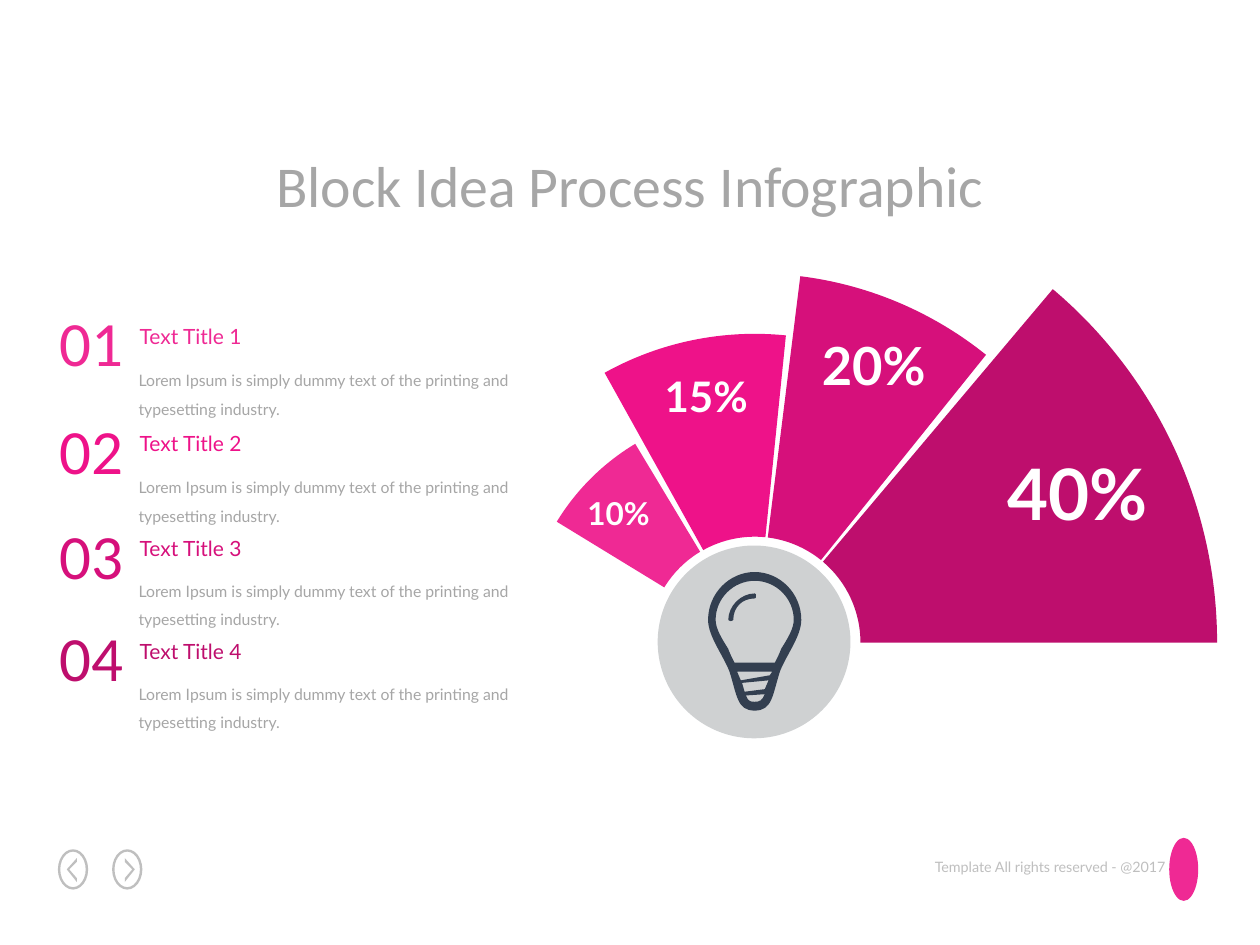
import math
from dataclasses import dataclass

import pptx
import pptx.dml.color
import pptx.enum.shapes
import pptx.enum.text
import pptx.oxml.ns
import pptx.util

Inches = pptx.util.Inches
RGB = pptx.dml.color.RGBColor.from_string
ALIGN = pptx.enum.text.PP_ALIGN
SHAPES = pptx.enum.shapes.MSO_SHAPE
qn = pptx.oxml.ns.qn


@dataclass(frozen=True)
class Theme:
    pinks: tuple = ("EF2994", "EE1289", "D6107B", "BE0E6D")
    grey: str = "A6A6A6"
    pale: str = "BFBFBF"
    hub: str = "CFD1D2"
    bulb: str = "333F50"
    white: str = "FFFFFF"
    head_font: str = "Calibri"
    body_font: str = "Lato"
    title: float = 33
    number: float = 36
    item: float = 12
    body: float = 9
    footer: float = 8.2
    shares: tuple = (18, 24, 30, 40.5)


theme = Theme()
deck = pptx.Presentation()
deck.slide_width, deck.slide_height = Inches(10), Inches(7.5)
slide = deck.slides.add_slide(deck.slide_layouts[5])


def write(box, words, size, color, font=theme.body_font, align=ALIGN.LEFT, bold=False, wrap=False):
    frame = box.text_frame
    frame.word_wrap = wrap
    frame.auto_size = pptx.enum.text.MSO_AUTO_SIZE.SHAPE_TO_FIT_TEXT
    paragraph = frame.paragraphs[0]
    paragraph.alignment = align
    run = paragraph.add_run()
    run.text = words
    run.font.name, run.font.size, run.font.bold = font, pptx.util.Pt(size), bold
    run.font.color.rgb = RGB(color)
    return frame


def outline(contours, color):
    """Fill closed contours, in inches; six numbers are a cubic curve, two a corner."""
    builder = None
    for start, *steps in contours:
        origin = Inches(start[0]), Inches(start[1])
        if builder is None:
            builder = slide.shapes.build_freeform(*origin, scale=1.0)
        else:
            builder.move_to(*origin)
        points = [(Inches(step[i]), Inches(step[i + 1])) for step in steps for i in range(0, len(step), 2)]
        builder.add_line_segments(points, close=False)
        builder.add_line_segments([origin], close=True)
    shape = builder.convert_to_shape()

    # The builder draws only lines: gather each curve's three points into one segment
    lines = iter(list(shape._element.iter(qn("a:lnTo"))))
    for _, *steps in contours:
        for step in steps:
            segment = next(lines)
            if len(step) == 6:
                segment_curve = segment.makeelement(qn("a:cubicBezTo"))
                segment.addprevious(segment_curve)
                for line in (segment, next(lines), next(lines)):
                    segment_curve.append(line[0])
                    line.getparent().remove(line)
        closing = next(lines)
        closing.getparent().remove(closing)

    shape.shadow.inherit = False
    shape.fill.solid()
    shape.fill.fore_color.rgb = RGB(color)
    shape.line.fill.background()


# Footer, navigation rings, emblem and hub
footer = slide.shapes.add_textbox(Inches(7.25), Inches(6.76), Inches(2.1), Inches(0.24))
write(footer, "Template All rights reserved - @2017", theme.footer, theme.pale, align=ALIGN.RIGHT)

ovals = [
    (SHAPES.DONUT, 0.46, 6.74, 0.24, 0.32, theme.pale),
    (SHAPES.DONUT, 0.89, 6.74, 0.24, 0.32, theme.pale),
    (SHAPES.OVAL, 9.28, 6.65, 0.23, 0.5, theme.pinks[0]),
    (SHAPES.OVAL, 5.22, 4.33, 1.53, 1.53, theme.hub),
]
for kind, left, top, width, height, color in ovals:
    oval = slide.shapes.add_shape(kind, Inches(left), Inches(top), Inches(width), Inches(height))
    oval.shadow.inherit = False
    oval.fill.solid()
    oval.fill.fore_color.rgb = RGB(color)
    oval.line.fill.background()
    if kind == SHAPES.DONUT:
        oval.adjustments[0] = 0.08

for tip, direction in ((0.53, 1), (1.07, -1)):
    back, notch = tip + 0.08 * direction, tip + 0.02 * direction
    outline([[(back, 6.84), (notch, 6.9), (back, 6.97), (back, 7), (tip, 6.9), (back, 6.81)]], theme.pale)

# Title
title = slide.shapes.title
title.left, title.top, title.width, title.height = Inches(1.8), Inches(1.13), Inches(6.4), Inches(0.66)
write(title, "Block Idea Process Infographic", theme.title, theme.grey, theme.head_font, ALIGN.CENTER)

# Fan of wedges around the hub: outer radius, start and end angle, label and its place
center_x, center_y, inner_radius = 5.99, 5.1, 0.84
wedges = [
    (1.84, 148.6, 121, "10%", 4.56, 3.87, 0.7, 0.4),
    (2.45, 119.1, 84.2, "15%", 5.17, 2.89, 0.87, 0.5),
    (2.93, 82.9, 51.2, "20%", 6.42, 2.59, 1.03, 0.61),
    (3.67, 49.85, 0, "40%", 7.89, 3.52, 1.33, 0.78),
]
for (outer_radius, start, end, *_), color in zip(wedges, theme.pinks):
    arcs = []
    for radius, first, last in ((outer_radius, start, end), (inner_radius, end, start)):
        a, b = math.radians(first), math.radians(last)
        pull = 4 / 3 * math.tan((b - a) / 4)
        arcs.append([
            (center_x + radius * (math.cos(angle) - tug * math.sin(angle)),
             center_y - radius * (math.sin(angle) + tug * math.cos(angle)))
            for angle, tug in ((a, 0), (a, pull), (b, -pull), (b, 0))
        ])
    rim, hollow = arcs
    outline([[rim[0], sum(rim[1:], ()), hollow[0], sum(hollow[1:], ())]], color)

for (*_, share, left, top, width, height), size in zip(wedges, theme.shares):
    label = slide.shapes.add_textbox(Inches(left), Inches(top), Inches(width), Inches(height))
    write(label, share, size, theme.white, align=ALIGN.CENTER, bold=True)

# Numbered list
item_rows = [(2.36, 2.52, 2.82), (3.22, 3.37, 3.67), (4.05, 4.2, 4.49), (4.86, 5.02, 5.31)]
for index, ((number_top, heading_top, body_top), color) in enumerate(zip(item_rows, theme.pinks), 1):
    body = slide.shapes.add_textbox(Inches(1.1), Inches(body_top), Inches(3), Inches(0.56))
    frame = write(body, "Lorem Ipsum is simply dummy text of the printing and typesetting industry.",
                  theme.body, theme.grey, wrap=True)
    frame.margin_left = frame.margin_right = 0
    frame.paragraphs[0].line_spacing = 1.5
    heading = slide.shapes.add_textbox(Inches(1.01), Inches(heading_top), Inches(1.05), Inches(0.3))
    write(heading, f"Text Title {index}", theme.item, color)
    number = slide.shapes.add_textbox(Inches(0.33), Inches(number_top), Inches(0.79), Inches(0.71))
    write(number, f"{index:02}", theme.number, color, theme.head_font, ALIGN.CENTER)

# Light bulb: glass with its screw gaps and hollow, then the glint
outline([
    [(5.99, 4.54), (5.79, 4.54, 5.62, 4.71, 5.62, 4.92), (5.62, 5.05, 5.74, 5.2, 5.79, 5.33),
     (5.85, 5.52, 5.85, 5.64, 5.99, 5.64), (6.13, 5.64, 6.13, 5.52, 6.19, 5.33),
     (6.24, 5.2, 6.36, 5.05, 6.36, 4.92), (6.36, 4.71, 6.19, 4.54, 5.99, 4.54)],
    [(6.07, 5.47), (5.91, 5.49), (5.89, 5.42), (6.1, 5.4)],
    [(5.88, 5.4), (5.85, 5.33), (6.13, 5.33), (6.11, 5.36)],
    [(5.99, 5.57), (5.96, 5.57, 5.94, 5.57, 5.92, 5.52), (6.07, 5.51), (6.05, 5.56, 6.03, 5.57, 5.99, 5.57)],
    [(6.15, 5.26), (5.83, 5.26), (5.81, 5.22, 5.79, 5.18, 5.78, 5.15), (5.73, 5.07, 5.68, 4.99, 5.68, 4.92),
     (5.68, 4.75, 5.82, 4.61, 5.99, 4.61), (6.16, 4.61, 6.3, 4.75, 6.3, 4.92),
     (6.3, 4.99, 6.25, 5.07, 6.2, 5.15), (6.19, 5.18, 6.17, 5.22, 6.15, 5.26)],
], theme.bulb)
outline([
    [(5.99, 4.71), (5.88, 4.71, 5.78, 4.81, 5.78, 4.92), (5.78, 4.92, 5.79, 4.93, 5.8, 4.93),
     (5.81, 4.93, 5.82, 4.92, 5.82, 4.92), (5.82, 4.82, 5.89, 4.75, 5.99, 4.75),
     (6, 4.75, 6, 4.74, 6, 4.73), (6, 4.72, 6, 4.71, 5.99, 4.71)],
], theme.bulb)

deck.save("out.pptx")
